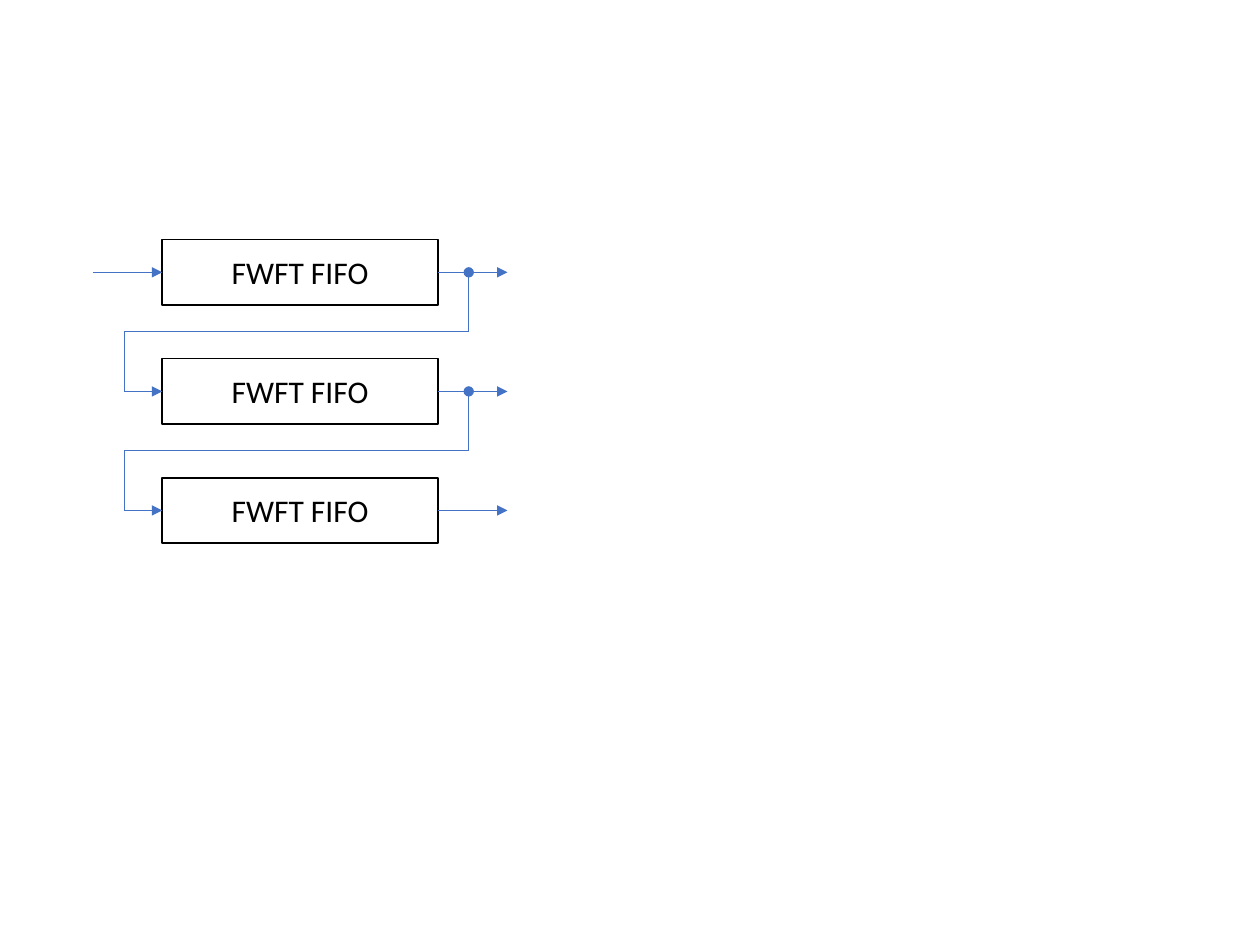
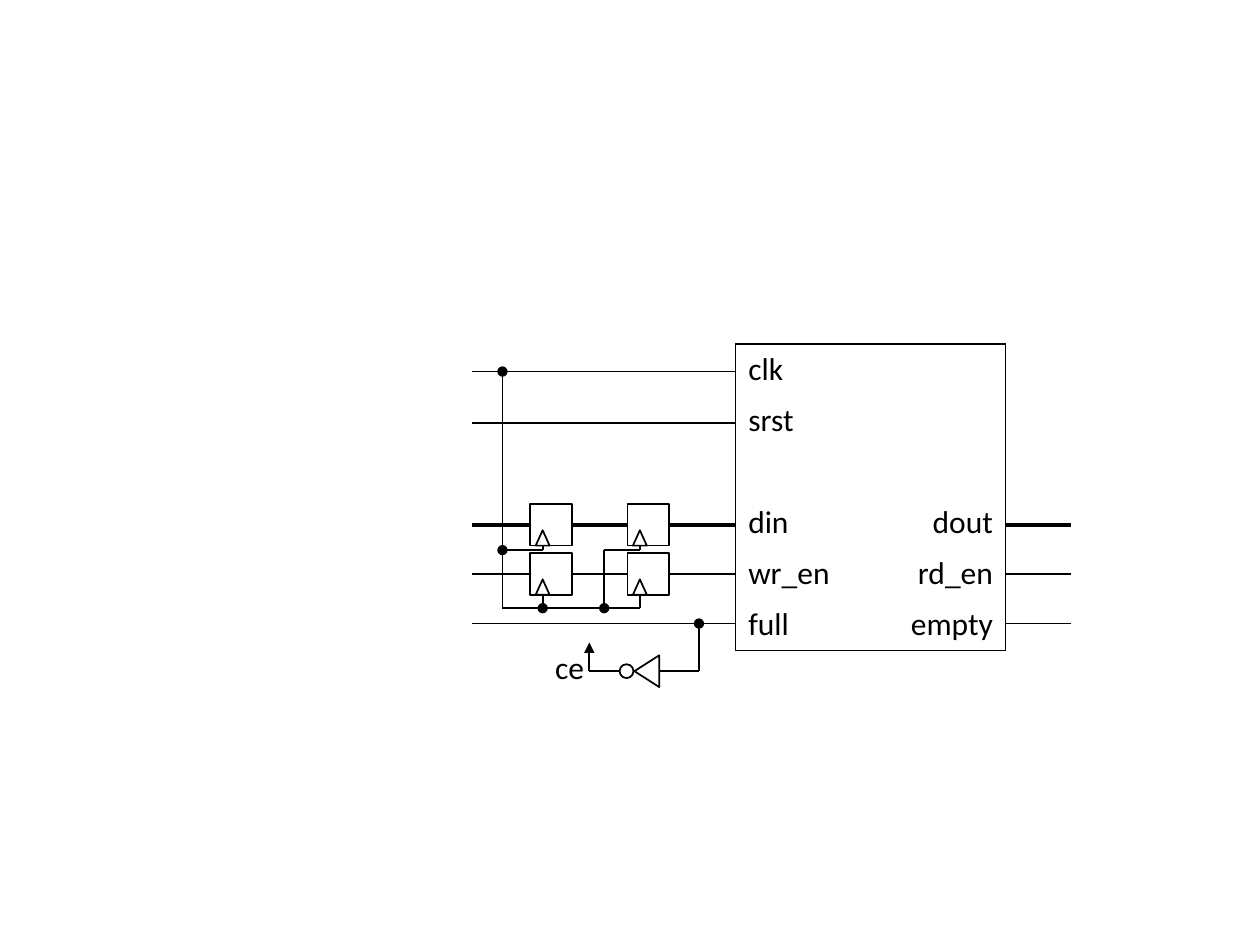
from itertools import product

from pptx import Presentation
from pptx.dml.color import RGBColor as RGB
from pptx.enum.shapes import MSO_CONNECTOR as CONN, MSO_SHAPE as SHAPE
from pptx.enum.text import MSO_ANCHOR as ANCHOR, MSO_AUTO_SIZE as AUTO, PP_ALIGN as ALIGN
from pptx.oxml import parse_xml
from pptx.oxml.ns import nsdecls
from pptx.util import Cm, Pt

COLORS = {"ink": "000000", "paper": "FFFFFF", "flow": "4472C4"}
FONT, SIZE = "Calibri", 18


def rgb(name):
    """Return a palette colour."""
    return RGB.from_string(COLORS[name])


def element(tag, inner="", **attrs):
    """Build a DrawingML element."""
    text = "".join(f' {key}="{value}"' for key, value in attrs.items())
    return parse_xml(f"<a:{tag} {nsdecls('a')}{text}>{inner}</a:{tag}>")


def write(tf, text, align=ALIGN.LEFT):
    """Put one paragraph in the shared type style."""
    p = tf.paragraphs[0]
    p.text, p.alignment = text, align
    p.font.name, p.font.size = FONT, Pt(SIZE)
    p.font.color.rgb = rgb("ink")


def outline(shapes, kind, x, y, w, h, rotation=0):
    """Add a white shape with a thin black line."""
    sp = shapes.add_shape(kind, Cm(x), Cm(y), Cm(w), Cm(h))
    sp.shadow.inherit = False
    sp.fill.solid()
    sp.fill.fore_color.rgb = rgb("paper")
    sp.line.color.rgb = rgb("ink")
    sp.line.width = Pt(1)
    sp.rotation = rotation
    return sp


def wire(shapes, x1, y1, x2, y2, color="ink", width=1, head=None, tail=None):
    """Draw a straight wire; head marks its start and tail its end."""
    line = shapes.add_connector(CONN.STRAIGHT, Cm(x1), Cm(y1), Cm(x2), Cm(y2))
    line.line.color.rgb = rgb(color)
    line.line.width = Pt(width)
    ln = line.line._get_or_add_ln()
    for tag, mark in (("headEnd", head), ("tailEnd", tail)):
        if mark:
            ln.append(element(tag, type=mark))
    line._element.spPr.append(element("effectLst"))


def fifo_chain(shapes, x, y, w, h, count=3, pitch=2.4):
    """Stack FIFOs of the given size, each output feeding the next input."""
    flow = {"color": "flow", "width": 0.5}
    right = x + w
    tap, loop = right + 0.62, x - 0.77
    for i in range(count):
        top = y + i * pitch
        mid = top + h / 2
        sp = outline(shapes, SHAPE.RECTANGLE, x, top, w, h)
        sp.text_frame.vertical_anchor = ANCHOR.MIDDLE
        write(sp.text_frame, "FWFT FIFO", ALIGN.CENTER)
        wire(shapes, right, mid, right + 1.4, mid, tail="triangle", **flow)
        wire(shapes, loop if i else x - 1.4, mid, x, mid, tail="triangle", **flow)
        if i < count - 1:
            turn = mid + pitch / 2
            wire(shapes, tap, mid, tap, turn, head="oval", **flow)
            wire(shapes, loop, turn, tap, turn, **flow)
            wire(shapes, loop, turn, loop, mid + pitch, **flow)


def port_table(shapes, x, y, w, h):
    """Place the table of port names, with only its outer border."""
    ports = [("clk", ""), ("srst", ""), ("", ""),
             ("din", "dout"), ("wr_en", "rd_en"), ("full", "empty")]
    widths = (2.41, 0.78, w - 3.19)
    last_row, last_col = len(ports) - 1, len(widths) - 1
    table = shapes.add_table(len(ports), len(widths), Cm(x), Cm(y), Cm(w), Cm(h)).table
    table.first_row = table.horz_banding = False
    for col, width in zip(table.columns, widths):
        col.width = Cm(width)
    solid = f'<a:solidFill><a:srgbClr val="{COLORS["ink"]}"/></a:solidFill>'
    for i, (left, right) in enumerate(ports):
        for j, text in enumerate((left, "", right)):
            cell = table.cell(i, j)
            write(cell.text_frame, text, ALIGN.RIGHT if j == last_col else ALIGN.LEFT)
            tc_pr = cell._tc.get_or_add_tcPr()
            edges = {"lnL": j == 0, "lnR": j == last_col,
                     "lnT": i == 0, "lnB": i == last_row}
            for tag, drawn in edges.items():
                tc_pr.append(element(tag, solid if drawn else "<a:noFill/>", w=Pt(1)))
            cell.fill.background()


def register(shapes, x, y, size):
    """Draw a register with its clock mark."""
    outline(shapes, SHAPE.RECTANGLE, x, y, size, size)
    outline(shapes, SHAPE.ISOSCELES_TRIANGLE, x + 0.11, y + size - 0.31, 0.28, 0.31)


def port_wires(shapes, x, y, w, rows):
    """Draw the wires that enter and leave the port table."""
    for name, row in rows.items():
        width = 2.25 if name == "din" else 1
        wire(shapes, x, y + row, x - 5.31, y + row, width=width)
        if name in ("din", "wr_en", "full"):
            wire(shapes, x + w + 1.32, y + row, x + w, y + row, width=width)


def pipeline(shapes, x, y, rows, size=0.84):
    """Draw the two register stages and the clock tree left of the table."""
    stages = (x - 4.14, x - 2.18)
    data, enable = y + rows["din"], y + rows["wr_en"]
    for left, mid in product(stages, (data, enable)):
        register(shapes, left, mid - size / 2, size)
    clock, stub = x - 4.7, x - 2.65
    first, second = (left + 0.25 for left in stages)
    branch, bus = data + 0.51, y + 5.33
    wire(shapes, clock, y + rows["clk"], clock, bus, head="oval")
    wire(shapes, second, bus, clock, bus)
    wire(shapes, stub, branch, stub, bus, tail="oval")
    wire(shapes, second, branch, stub, branch)
    wire(shapes, first, branch, clock, branch, tail="oval")
    for pin, mark in ((first, "oval"), (second, None)):
        wire(shapes, pin, data + size / 2, pin, branch)
        wire(shapes, pin, enable + size / 2, pin, bus, tail=mark)


def clock_enable(shapes, x, y, rows):
    """Draw the inverter that turns full into the clock enable."""
    mid, tap, out = y + 6.6, x - 0.74, x - 2.95
    outline(shapes, SHAPE.OVAL, x - 2.34, mid - 0.14, 0.28, 0.28, 180)
    outline(shapes, SHAPE.ISOSCELES_TRIANGLE, x - 2.11, mid - 0.25, 0.64, 0.5, 270)
    wire(shapes, tap, mid, tap, y + rows["full"], tail="oval")
    wire(shapes, tap, mid, x - 1.54, mid)
    wire(shapes, x - 2.34, mid, out, mid)
    wire(shapes, out, mid - 0.58, out, mid, head="triangle")
    tf = shapes.add_textbox(Cm(x - 3.89), Cm(y + 6), Cm(1.12), Cm(1.02)).text_frame
    tf.word_wrap, tf.auto_size = False, AUTO.SHAPE_TO_FIT_TEXT
    write(tf, "ce")


def fifo_ports(slide, x, y, w, h):
    """Draw the port table and everything wired to it."""
    rows = {"clk": 0.56, "srst": 1.6, "din": 3.65, "wr_en": 4.64, "full": 5.64}
    port_table(slide.shapes, x, y, w, h)
    shapes = slide.shapes.add_group_shape().shapes
    port_wires(shapes, x, y, w, rows)
    pipeline(shapes, x, y, rows)
    clock_enable(shapes, x, y, rows)


prs = Presentation()
prs.slide_width, prs.slide_height = Cm(25.4), Cm(19.05)
blank = prs.slide_layouts[6]

chain = prs.slides.add_slide(blank)
fifo_chain(chain.shapes.add_group_shape().shapes, 3.27, 4.83, 5.56, 1.32)
fifo_ports(prs.slides.add_slide(blank), 14.83, 6.93, 5.44, 6.18)

prs.save("out.pptx")
